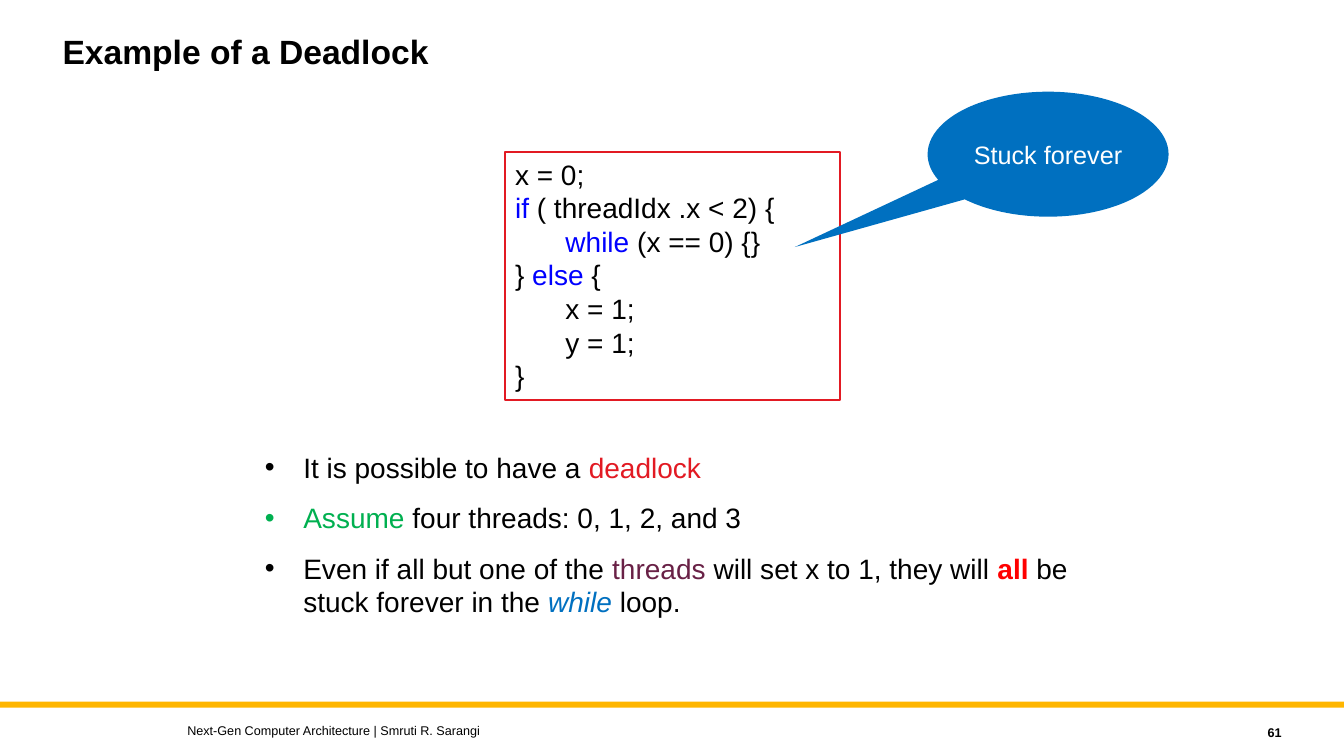
from dataclasses import dataclass

import pptx
import pptx.dml.color
import pptx.enum.shapes
import pptx.enum.text
import pptx.oxml
import pptx.oxml.ns
import pptx.util

SHAPE = pptx.enum.shapes.MSO_SHAPE
ANCHOR = pptx.enum.text.MSO_ANCHOR
ALIGN = pptx.enum.text.PP_ALIGN
FIT = pptx.enum.text.MSO_AUTO_SIZE


@dataclass(frozen=True)
class Theme:
    font: str = "Arial"
    black: str = "000000"
    white: str = "FFFFFF"
    gold: str = "FFB600"
    red: str = "E21A23"
    alert: str = "FF0000"
    green: str = "00B050"
    plum: str = "692146"
    blue: str = "0070C0"
    key: str = "0000FF"
    head: int = 24
    body: int = 20
    note: int = 18
    foot: int = 9


T = Theme()
PX = 9144  # EMU in one px, 100 px to the inch

# Each line is a list of runs: text, colour, style ("b" bold, "i" italic).
TITLE = [[("Example of a Deadlock", T.black, "b")]]
CODE = [
    [("x = 0;",)],
    [("if ", T.key), ("( threadIdx .x < 2) {",)],
    [("\t",), ("while ", T.key), ("(x == 0) {}",)],
    [("} ",), ("else ", T.key), ("{",)],
    [("\tx = 1;",)],
    [("\ty = 1;",)],
    [("}",)],
]
POINTS = [
    [("It is possible to have a ",), ("deadlock", T.red)],
    [("Assume", T.green), (" four threads: 0, 1, 2, and 3",)],
    [("Even if all but one of the ",), ("threads", T.plum),
     (" will set x to 1, they will ",), ("all", T.alert, "b"),
     (" be stuck forever in the ",), ("while", T.blue, "i"), (" loop.",)],
]
CALL = [[("Stuck forever", T.white)]]
FOOT = [[("Next-Gen Computer Architecture | Smruti R. Sarangi",)]]
PAGE = [[("61", T.black, "b")]]

SIZE = (1333, 750)
BOX = {  # left, top, width, height in px
    "bar": (0, 696, 1333, 6),
    "title": (52, 30, 1000, 90),
    "points": (253, 442, 864, 187),
    "foot": (176, 712, 800, 25),
    "page": (1141, 714, 140, 25),
    "code": (501, 151, 332, 246),
    "call": (920, 91, 239, 124),
}
TIP = (-1.051, 0.743)
INDENT = 38


def emu(box):
    return [n * PX for n in box]


def rgb(code):
    return pptx.dml.color.RGBColor.from_string(code)


def bullet(para):
    props = para._p.get_or_add_pPr()
    props.set("marL", str(INDENT * PX))
    props.set("indent", str(-INDENT * PX))
    names = pptx.oxml.ns.nsdecls("a")
    for tag in (f'<a:buFont {names} typeface="{T.font}"/>',
                f'<a:buChar {names} char="•"/>'):
        props.append(pptx.oxml.parse_xml(tag))


def write(shape, lines, size=T.body, align=ALIGN.LEFT, anchor=ANCHOR.TOP,
          fit=FIT.NONE, dots=False, gap=0, lead=None):
    frame = shape.text_frame
    frame.word_wrap = True
    frame.auto_size = fit
    frame.vertical_anchor = anchor
    for row, line in enumerate(lines):
        para = frame.add_paragraph() if row else frame.paragraphs[0]
        para.alignment = align
        if lead:
            para.line_spacing = lead
        if row and gap:
            para.space_before = pptx.util.Pt(gap)
        if dots:
            bullet(para)
        for text, *look in line:
            tint, style = (look + [T.black, ""][len(look):])
            run = para.add_run()
            run.text = text
            run.font.name = T.font
            run.font.size = pptx.util.Pt(size)
            run.font.color.rgb = rgb(tint)
            run.font.bold = "b" in style
            run.font.italic = "i" in style


def draw(slide, kind, name, fill, line=None):
    shape = slide.shapes.add_shape(kind, *emu(BOX[name]))
    shape.shadow.inherit = False
    shape.fill.solid()
    shape.fill.fore_color.rgb = rgb(fill)
    if line:
        shape.line.color.rgb = rgb(line)
        shape.line.width = pptx.util.Pt(1)
    else:
        shape.line.fill.background()
    return shape


def label(slide, name, lines, **look):
    write(slide.shapes.add_textbox(*emu(BOX[name])), lines, **look)


def main():
    deck = pptx.Presentation()
    deck.slide_width, deck.slide_height = emu(SIZE)
    slide = deck.slides.add_slide(deck.slide_layouts.get_by_name("Title Only"))

    title = slide.shapes.title
    title.left, title.top, title.width, title.height = emu(BOX["title"])
    write(title, TITLE, size=T.head, lead=0.9)

    draw(slide, SHAPE.RECTANGLE, "bar", T.gold)
    label(slide, "points", POINTS, dots=True, gap=12)
    label(slide, "foot", FOOT, size=T.foot, anchor=ANCHOR.MIDDLE)
    label(slide, "page", PAGE, size=T.foot, anchor=ANCHOR.MIDDLE,
          align=ALIGN.RIGHT)

    code = draw(slide, SHAPE.RECTANGLE, "code", T.white, line=T.red)
    write(code, CODE, fit=FIT.SHAPE_TO_FIT_TEXT)

    call = draw(slide, SHAPE.OVAL_CALLOUT, "call", T.blue)
    for spot, value in enumerate(TIP):
        call.adjustments[spot] = value
    write(call, CALL, size=T.note, align=ALIGN.CENTER, anchor=ANCHOR.MIDDLE)

    deck.save("out.pptx")


if __name__ == "__main__":
    main()
